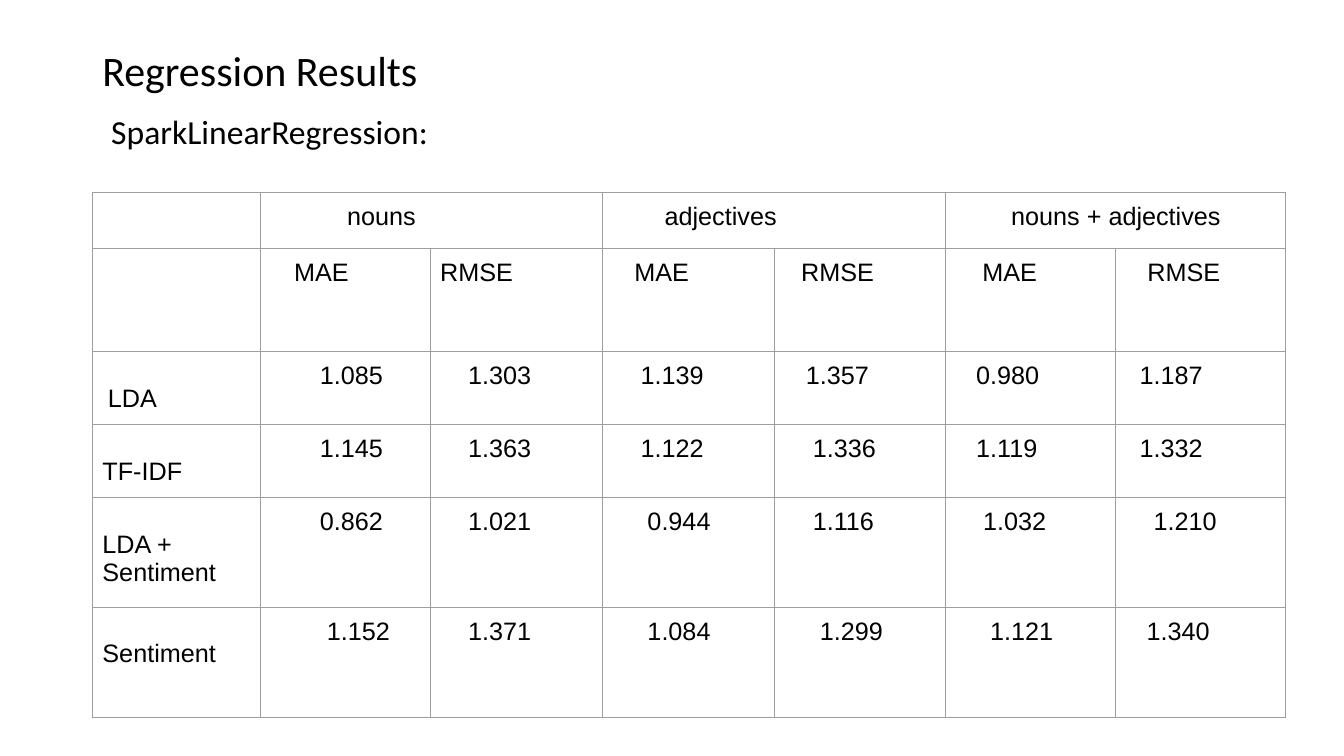
from lxml.etree import SubElement
from pptx import Presentation
from pptx.dml.color import RGBColor
from pptx.enum.text import MSO_ANCHOR
from pptx.oxml.ns import qn
from pptx.util import Pt

BLACK, GRAY = "000000", "9E9E9E"
SPACE = 5  # indent unit, in points
CELL_INSET = 7.2
LABEL_TOP = 23.3

COLUMN_WIDTHS = [120.3, 121, 123.1, 123.1, 121.7, 121.7, 121.7]
ROW_HEIGHTS = [39.8, 74, 50.4, 50.4, 78.4, 78.4]

# Each entry is the text and its indent in points.
GROUPS = [("nouns", 54.5), ("adjectives", 37.2), ("nouns + adjectives", 40)]
MEASURES = [("MAE", 16.7), ("RMSE", 0), ("MAE", 15.6),
            ("RMSE", 11.7), ("MAE", 19.5), ("RMSE", 15.6)]
# Each model has its label, label indent, scores and score indents in units.
MODELS = [
    ("LDA", 3.9, ["1.085", "1.303", "1.139", "1.357", "0.980", "1.187"],
     [7, 4, 4, 3, 3, 2]),
    ("TF-IDF", 0, ["1.145", "1.363", "1.122", "1.336", "1.119", "1.332"],
     [7, 4, 4, 4, 3, 2]),
    ("LDA + Sentiment", 0, ["0.862", "1.021", "0.944", "1.116", "1.032", "1.210"],
     [7, 4, 5, 4, 4, 4]),
    ("Sentiment", 0, ["1.152", "1.371", "1.084", "1.299", "1.121", "1.340"],
     [8, 4, 5, 5, 5, 3]),
]


def color(hex_string):
    return RGBColor.from_string(hex_string)


def style_font(para, name, size):
    para.font.name = name
    para.font.size = Pt(size)
    para.font.color.rgb = color(BLACK)


def add_heading(page, left, top, width, height, text, size, anchor,
                inset_left=7.2, inset_top=3.6):
    box = page.shapes.add_textbox(Pt(left), Pt(top), Pt(width), Pt(height))
    frame = box.text_frame
    frame.word_wrap = True
    frame.vertical_anchor = anchor
    frame.margin_left, frame.margin_top = Pt(inset_left), Pt(inset_top)
    para = frame.paragraphs[0]
    para.text = text
    para.line_spacing = 0.9
    style_font(para, "Calibri", size)


def outline_cell(cell):
    properties = cell._tc.get_or_add_tcPr()
    for side in ("a:lnL", "a:lnR", "a:lnT", "a:lnB"):
        line = SubElement(properties, qn(side), w=str(Pt(0.75)))
        fill = SubElement(line, qn("a:solidFill"))
        SubElement(fill, qn("a:srgbClr"), val=GRAY)
    cell.fill.background()


def write_cell(cell, text, indent, top=CELL_INSET):
    cell.margin_left = Pt(CELL_INSET + indent)
    cell.margin_top = Pt(top)
    para = cell.text_frame.paragraphs[0]
    para.text = text
    style_font(para, "Arial", 18)


def add_results_table(page, left, top):
    table = page.shapes.add_table(
        len(ROW_HEIGHTS), len(COLUMN_WIDTHS), Pt(left), Pt(top),
        Pt(sum(COLUMN_WIDTHS)), Pt(sum(ROW_HEIGHTS))).table
    table.first_row = table.horz_banding = False
    for column, width in zip(table.columns, COLUMN_WIDTHS):
        column.width = Pt(width)
    for row, height in zip(table.rows, ROW_HEIGHTS):
        row.height = Pt(height)
    for cell in table.iter_cells():
        outline_cell(cell)
        cell.margin_left = cell.margin_right = Pt(CELL_INSET)
        cell.margin_top = cell.margin_bottom = Pt(CELL_INSET)

    for index, (group, indent) in enumerate(GROUPS):
        first = 1 + 2 * index
        table.cell(0, first).merge(table.cell(0, first + 1))
        write_cell(table.cell(0, first), group, indent)
    for column, (measure, indent) in enumerate(MEASURES, 1):
        write_cell(table.cell(1, column), measure, indent)
    for row, (label, label_indent, scores, units) in enumerate(MODELS, 2):
        write_cell(table.cell(row, 0), label, label_indent, LABEL_TOP)
        for column, (score, unit) in enumerate(zip(scores, units), 1):
            write_cell(table.cell(row, column), score, unit * SPACE)


def add_results_page(deck):
    page = deck.slides.add_slide(deck.slide_layouts[6])
    add_heading(page, 66, 28.8, 828, 46.8, "Regression Results", 30,
                MSO_ANCHOR.MIDDLE)
    add_heading(page, 66, 75.6, 828, 410.4, "SparkLinearRegression:", 24,
                MSO_ANCHOR.TOP, inset_left=13.5, inset_top=7)
    add_results_table(page, 66, 137.5)


def main():
    deck = Presentation()
    deck.slide_width, deck.slide_height = Pt(960), Pt(540)
    add_results_page(deck)
    deck.save("out.pptx")


if __name__ == "__main__":
    main()
